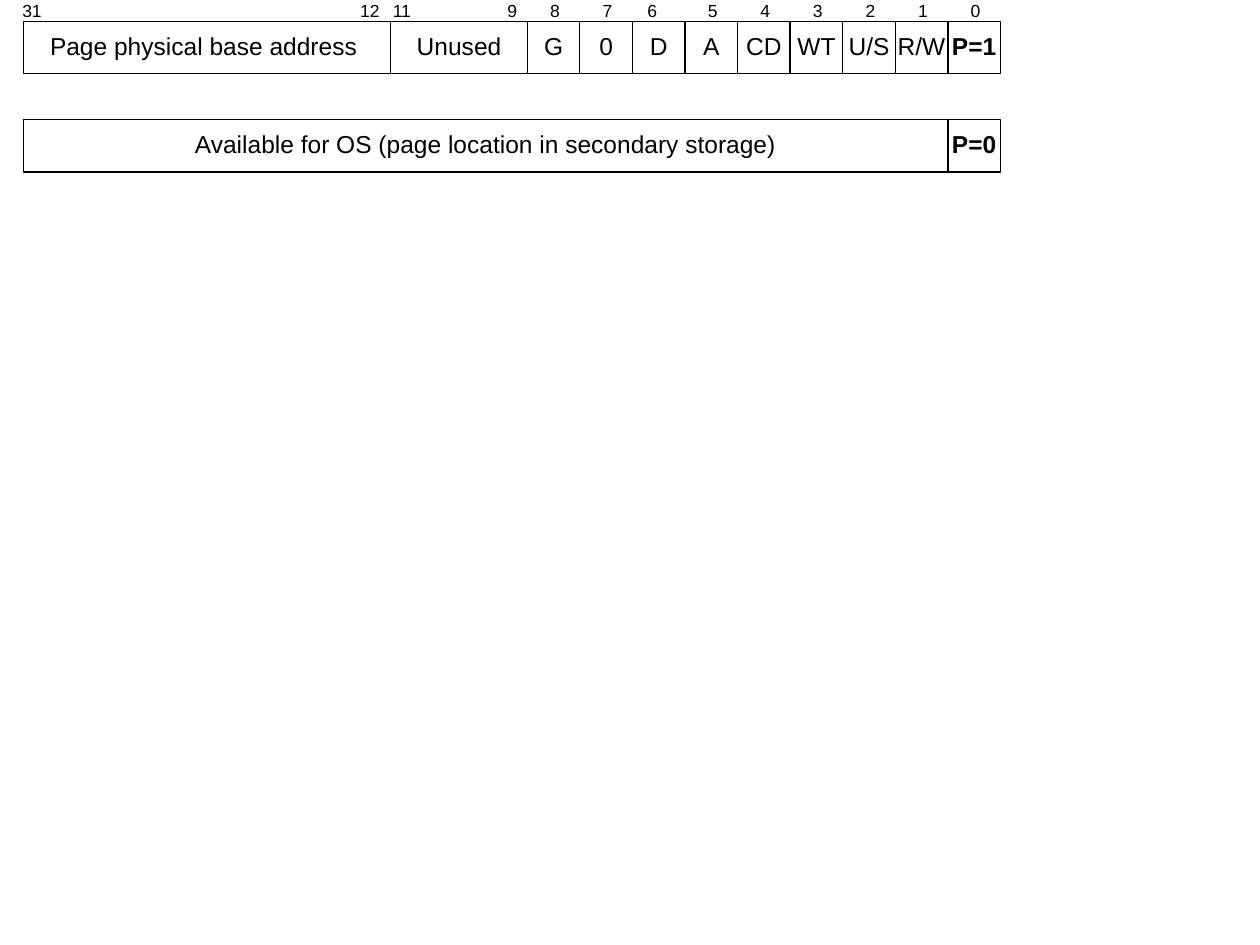
from pptx import Presentation
from pptx.dml.color import RGBColor
from pptx.enum.shapes import MSO_SHAPE
from pptx.enum.text import MSO_ANCHOR, MSO_AUTO_SIZE, PP_ALIGN
from pptx.util import Cm, Pt

RECT = MSO_SHAPE.RECTANGLE
MIDDLE = MSO_ANCHOR.MIDDLE
GROW = MSO_AUTO_SIZE.SHAPE_TO_FIT_TEXT
CENTER, LEFT = PP_ALIGN.CENTER, PP_ALIGN.LEFT


def color(code):
    return RGBColor.from_string(code)


def write(shape, text, size, align, bold=False):
    frame = shape.text_frame
    frame.word_wrap = False
    para = frame.paragraphs[0]
    para.alignment = align
    para.line_spacing = 0.9
    run = para.add_run()
    run.text = text
    run.font.name = "Arial"
    run.font.size = Pt(size)
    run.font.bold = bold
    run.font.color.rgb = color("000000")


deck = Presentation()
deck.slide_width, deck.slide_height = Cm(25.4), Cm(19.05)
slide = deck.slides.add_slide(deck.slide_layouts[6])

# Field sizes in cm
start, bit, high = 0.47, 1.06, 1.06
base, unused = 7.41, 2.75
flags = ["G", "0", "D", "A", "CD", "WT", "U/S", "R/W", "P=1"]
first = start + base + unused

# Rows of the page table entry: top, then text and width of each field
rows = [
    (0.43, [("Page physical base address ", base), ("Unused", unused)]
     + [(flag, bit) for flag in flags]),
    (2.41, [("Available for OS (page location in secondary storage)",
             base + unused + 8 * bit), ("P=0", bit)]),
]
for top, fields in rows:
    left = start
    for text, wide in fields:
        box = slide.shapes.add_shape(RECT, Cm(left), Cm(top), Cm(wide), Cm(high))
        box.shadow.inherit = False
        box.fill.solid()
        box.fill.fore_color.rgb = color("FFFFFF")
        box.line.color.rgb = color("000000")
        box.line.width = Pt(0.75)
        box.text_frame.vertical_anchor = MIDDLE
        write(box, text, 14, CENTER, text.startswith("P="))
        left += wide

# Bit numbers above the first row
marks = [("31", 0.2), ("12", 7.01), ("11", 7.67), ("9", 9.98)]
for i in range(len(flags)):
    num = 8 - i
    shift = 0.05 if num == 6 else 0.21
    marks.append((str(num), first + i * bit + shift))
for text, left in marks:
    wide = 0.89 if len(text) == 2 else 0.71
    label = slide.shapes.add_textbox(Cm(left), Cm(-0.08), Cm(wide), Cm(0.64))
    label.text_frame.auto_size = GROW
    write(label, text, 10, LEFT)

deck.save("out.pptx")
